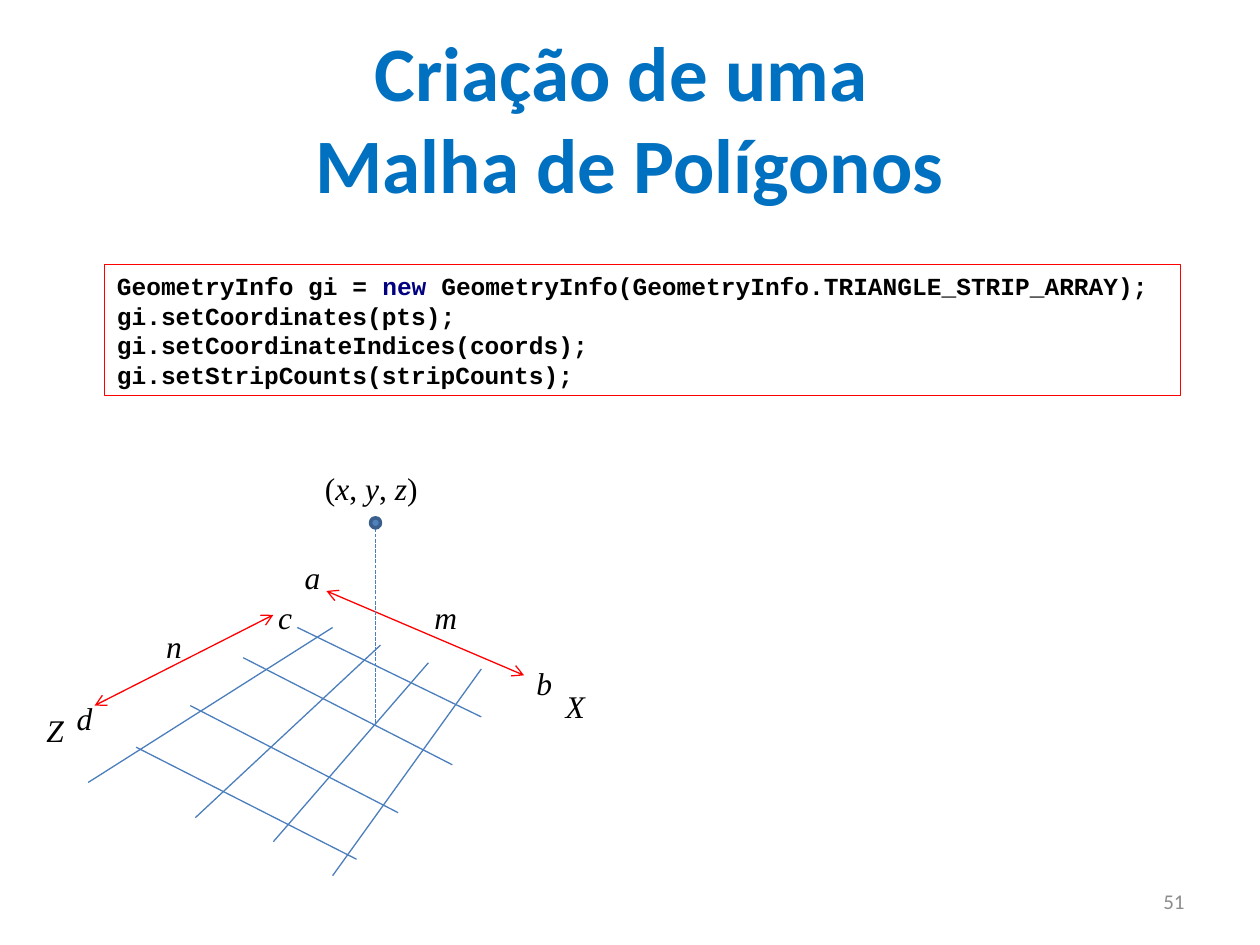
from dataclasses import dataclass

from lxml.etree import SubElement
from pptx import Presentation
from pptx.dml.color import RGBColor as RGB
from pptx.enum.dml import MSO_LINE_DASH_STYLE as Dash
from pptx.enum.shapes import MSO_CONNECTOR as Conn, MSO_SHAPE as Shape
from pptx.enum.text import MSO_ANCHOR as Anchor, PP_ALIGN as Align
from pptx.oxml.ns import qn
from pptx.util import Inches, Pt


@dataclass(frozen=True)
class Theme:
    title: RGB = RGB(0x00, 0x70, 0xC0)
    grid: RGB = RGB(0x4B, 0x7E, 0xBC)
    accent: RGB = RGB(0xFF, 0x00, 0x00)
    ink: RGB = RGB(0x00, 0x00, 0x00)
    keyword: RGB = RGB(0x00, 0x00, 0x80)
    muted: RGB = RGB(0x8C, 0x8C, 0x8C)
    point: RGB = RGB(0x4F, 0x81, 0xBD)
    point_edge: RGB = RGB(0x3A, 0x5F, 0x8C)
    sans: str = "Calibri"
    serif: str = "Times New Roman"
    mono: str = "Courier New"
    title_size: Pt = Pt(44)
    label_size: Pt = Pt(18)
    code_size: Pt = Pt(14)
    number_size: Pt = Pt(12)


@dataclass(frozen=True)
class Segment:
    x1: float
    y1: float
    x2: float
    y2: float


@dataclass(frozen=True)
class Label:
    text: str
    left: float
    top: float


T = Theme()
TITLE = dict(name=T.sans, size=T.title_size, bold=True, color=T.title)
NUMBER = dict(name=T.sans, size=T.number_size, color=T.muted)
PLAIN = dict(name=T.serif, size=T.label_size, color=T.ink)
ITALIC = PLAIN | dict(italic=True)
CODE = dict(name=T.mono, size=T.code_size, bold=True, color=T.ink)
KEYWORD = CODE | dict(color=T.keyword)

GRID = [
    Segment(0.7, 6.21, 2.64, 4.98),
    Segment(1.55, 6.49, 3.02, 5.12),
    Segment(2.17, 6.68, 3.4, 5.26),
    Segment(2.64, 6.95, 3.82, 5.31),
    Segment(3.82, 5.69, 2.36, 4.98),
    Segment(3.59, 6.07, 1.93, 5.22),
    Segment(3.16, 6.45, 1.51, 5.6),
    Segment(2.83, 6.82, 1.08, 5.93),
]
SPANS = [Segment(0.75, 5.6, 2.17, 4.88), Segment(4.16, 5.36, 2.59, 4.69)]
HEIGHT_LINE = Segment(2.98, 5.74, 2.98, 4.2)
LABELS = [
    Label("a", 2.32, 4.38),
    Label("b", 4.16, 5.22),
    Label("d", 0.51, 5.5),
    Label("c", 2.11, 4.7),
    Label("m", 3.35, 4.7),
    Label("n", 1.22, 4.93),
    Label("Z", 0.27, 5.59),
    Label("X", 4.39, 5.4),
]
CODE_LINES = [
    [("GeometryInfo gi = ", CODE), ("new ", KEYWORD),
     ("GeometryInfo(GeometryInfo.TRIANGLE_STRIP_ARRAY);", CODE)],
    [("gi.setCoordinates(pts);", CODE)],
    [("gi.setCoordinateIndices(coords);", CODE)],
    [("gi.setStripCounts(stripCounts);", CODE)],
]


def style(font, fmt: dict) -> None:
    for key, value in fmt.items():
        if key == "color":
            font.color.rgb = value
        else:
            setattr(font, key, value)


def write(sp, lines: list, align=Align.LEFT, anchor=Anchor.TOP, wrap=False) -> None:
    tf = sp.text_frame
    tf.word_wrap = wrap
    tf.vertical_anchor = anchor
    for i, line in enumerate(lines):
        p = tf.add_paragraph() if i else tf.paragraphs[0]
        p.alignment = align
        for text, fmt in line:
            if text == "\v":
                p.add_line_break()
                continue
            r = p.add_run()
            r.text = text
            style(r.font, fmt)


def add_text(s, box: tuple, line: list, **layout) -> None:
    write(s.shapes.add_textbox(*map(Inches, box)), [line], **layout)


def add_line(s, seg: Segment, color: RGB, arrows=False, dash=None) -> None:
    ends = map(Inches, (seg.x1, seg.y1, seg.x2, seg.y2))
    cx = s.shapes.add_connector(Conn.STRAIGHT, *ends)
    cx.line.color.rgb = color
    cx.line.width = Pt(0.75)
    if dash:
        cx.line.dash_style = dash
    if arrows:
        for end in ("a:headEnd", "a:tailEnd"):
            SubElement(cx.line._get_or_add_ln(), qn(end), type="arrow")
    SubElement(cx._element.spPr, qn("a:effectLst"))


def add_outlined(s, kind, box: tuple, color: RGB, width: float, fill=None):
    sp = s.shapes.add_shape(kind, *map(Inches, box))
    sp.shadow.inherit = False
    sp.line.color.rgb = color
    sp.line.width = Pt(width)
    if fill is None:
        sp.fill.background()
    else:
        sp.fill.solid()
        sp.fill.fore_color.rgb = fill
    return sp


def main() -> None:
    prs = Presentation()
    prs.slide_width, prs.slide_height = Inches(10), Inches(7.5)
    s = prs.slides.add_slide(prs.slide_layouts[6])

    heading = [("Criação de uma ", TITLE), ("\v", TITLE), ("Malha de Polígonos", TITLE)]
    add_text(s, (0.5, 0.3, 9, 1.25), heading,
             align=Align.CENTER, anchor=Anchor.MIDDLE, wrap=True)
    add_text(s, (7.17, 6.95, 2.33, 0.4), [("51", NUMBER)],
             align=Align.RIGHT, anchor=Anchor.MIDDLE, wrap=True)

    for seg in GRID:
        add_line(s, seg, T.grid)
    for seg in SPANS:
        add_line(s, seg, T.accent, arrows=True)
    for label in LABELS:
        add_text(s, (label.left, label.top, 0.4, 0.4), [(label.text, ITALIC)])

    add_line(s, HEIGHT_LINE, T.grid, dash=Dash.SQUARE_DOT)
    point = [(t, ITALIC if t.isalpha() else PLAIN)
             for t in ("(", "x", ", ", "y", ", ", "z", ")")]
    add_text(s, (2.48, 3.67, 0.97, 0.4), point)
    add_outlined(s, Shape.OVAL, (2.94, 4.11, 0.08, 0.08), T.point_edge, 2, T.point)

    code = add_outlined(s, Shape.RECTANGLE, (0.83, 2.1, 8.54, 1.04), T.accent, 1)
    write(code, CODE_LINES, anchor=Anchor.MIDDLE)

    prs.save("out.pptx")


if __name__ == "__main__":
    main()
